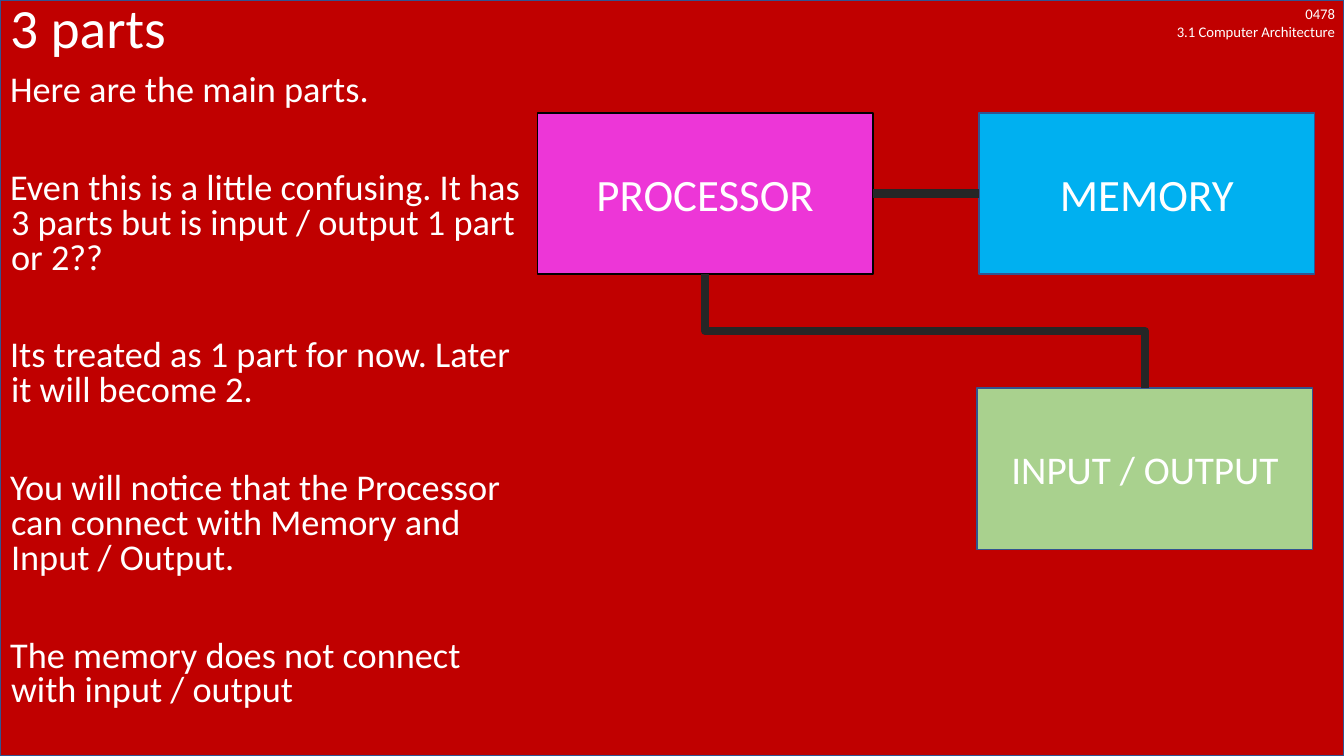
import pptx
import pptx.util
import pptx.dml.color
import pptx.enum.shapes
import pptx.enum.text
from lxml import etree

Inches, Pt = pptx.util.Inches, pptx.util.Pt
RGB = pptx.dml.color.RGBColor
SHAPE = pptx.enum.shapes.MSO_SHAPE
LINK = pptx.enum.shapes.MSO_CONNECTOR
ALIGN = pptx.enum.text.PP_ALIGN
ANCHOR = pptx.enum.text.MSO_ANCHOR
FIT = pptx.enum.text.MSO_AUTO_SIZE

RED = RGB(0xC0, 0x00, 0x00)
PINK = RGB(0xED, 0x36, 0xD7)
BLUE = RGB(0x00, 0xB0, 0xF0)
GREEN = RGB(0xA9, 0xD1, 0x8E)
NAVY = RGB(0x32, 0x54, 0x91)
BLACK = RGB(0x00, 0x00, 0x00)
DARK = RGB(0x26, 0x26, 0x26)
WHITE = RGB(0xFF, 0xFF, 0xFF)

# Content
TITLE = "3 parts"
COURSE = "0478\v3.1 Computer Architecture"
NOTES = [
    "Here are the main parts.",
    "Even this is a little confusing. It has 3 parts but is input / output 1 part or 2??",
    "Its treated as 1 part for now. Later it will become 2.",
    "You will notice that the Processor can connect with Memory and Input / Output.",
    "The memory does not connect with input / output",
]
# label, left, top, fill, outline, text size
PARTS = [
    ("PROCESSOR", 5.33, 1.12, PINK, BLACK, 32),
    ("MEMORY", 9.71, 1.12, BLUE, NAVY, 32),
    ("INPUT / OUTPUT", 9.69, 3.85, GREEN, NAVY, 28),
]
PART_W, PART_H = 3.33, 1.6
WIDE, HIGH = 13.33, 7.5


def write(frame, text, size, align=ALIGN.LEFT, anchor=ANCHOR.TOP,
          line=1.0, gap=0, hang=None):
    """Fill a text frame, one paragraph per line of text."""
    frame.text = text
    frame.word_wrap = True
    frame.auto_size = FIT.NONE
    frame.vertical_anchor = anchor
    for i, para in enumerate(frame.paragraphs):
        if hang is not None:
            props = para._p.get_or_add_pPr()
            props.set("marL", str(Inches(hang)))
            props.set("indent", str(-Inches(hang)))
            etree.SubElement(props, pptx.oxml.ns.qn("a:buNone"))
        para.alignment = align
        para.line_spacing = line
        para.space_before = Pt(gap if i else 0)
        for run in para.runs:
            run.font.size = Pt(size)
            run.font.name = "Calibri"
            run.font.color.rgb = WHITE


def place(shape, *box):
    shape.left, shape.top, shape.width, shape.height = map(Inches, box)


def block(left, top, width, height, fill, edge):
    shape = shapes.add_shape(SHAPE.RECTANGLE, *map(Inches, (left, top, width, height)))
    shape.shadow.inherit = False
    shape.fill.solid()
    shape.fill.fore_color.rgb = fill
    shape.line.color.rgb = edge
    shape.line.width = Pt(1)
    return shape


def join(kind, start, side, end, goal):
    link = shapes.add_connector(kind, 0, 0, 0, 0)
    link.begin_connect(start, side)
    link.end_connect(end, goal)
    link.line.color.rgb = DARK
    link.line.width = Pt(6)
    etree.SubElement(link.element.spPr, pptx.oxml.ns.qn("a:effectLst"))
    return link


deck = pptx.Presentation()
deck.slide_width, deck.slide_height = Inches(WIDE), Inches(HIGH)
slide = deck.slides.add_slide(deck.slide_layouts[1])
shapes = slide.shapes

# Red backdrop, sent behind the placeholders
back = block(0, 0, WIDE, HIGH, RED, NAVY)
tree = back.element.getparent()
tree.insert(2, back.element)

# Title, notes and course label
place(shapes.title, 0, 0, WIDE, 0.6)
write(shapes.title.text_frame, TITLE, 39.6, anchor=ANCHOR.MIDDLE, line=0.9)
body = slide.placeholders[1]
place(body, 0, 0.69, 5.33, 6.81)
write(body.text_frame, "\n".join(NOTES), 25.9, line=0.8, gap=45, hang=0.01)
course = shapes.add_textbox(*map(Inches, (11.24, 0, 2.1, 0.45)))
write(course.text_frame, COURSE, 10.5, align=ALIGN.RIGHT)

# The three parts
boxes = []
for label, left, top, fill, edge, size in PARTS:
    box = block(left, top, PART_W, PART_H, fill, edge)
    write(box.text_frame, label, size, align=ALIGN.CENTER, anchor=ANCHOR.MIDDLE)
    boxes.append(box)
cpu, memory, ports = boxes

# Links: straight to memory, bent down to input / output
join(LINK.STRAIGHT, cpu, 3, memory, 1)
bend = join(LINK.ELBOW, cpu, 2, ports, 0)
across, down = bend.width, bend.height
mid_x, mid_y = bend.left + across // 2, bend.top + down // 2
bend.left, bend.top = mid_x - down // 2, mid_y - across // 2
bend.width, bend.height = down, across
turn = bend.element.spPr.xfrm
turn.set("rot", str(270 * 60000))
turn.set("flipH", "1")

deck.save("out.pptx")
